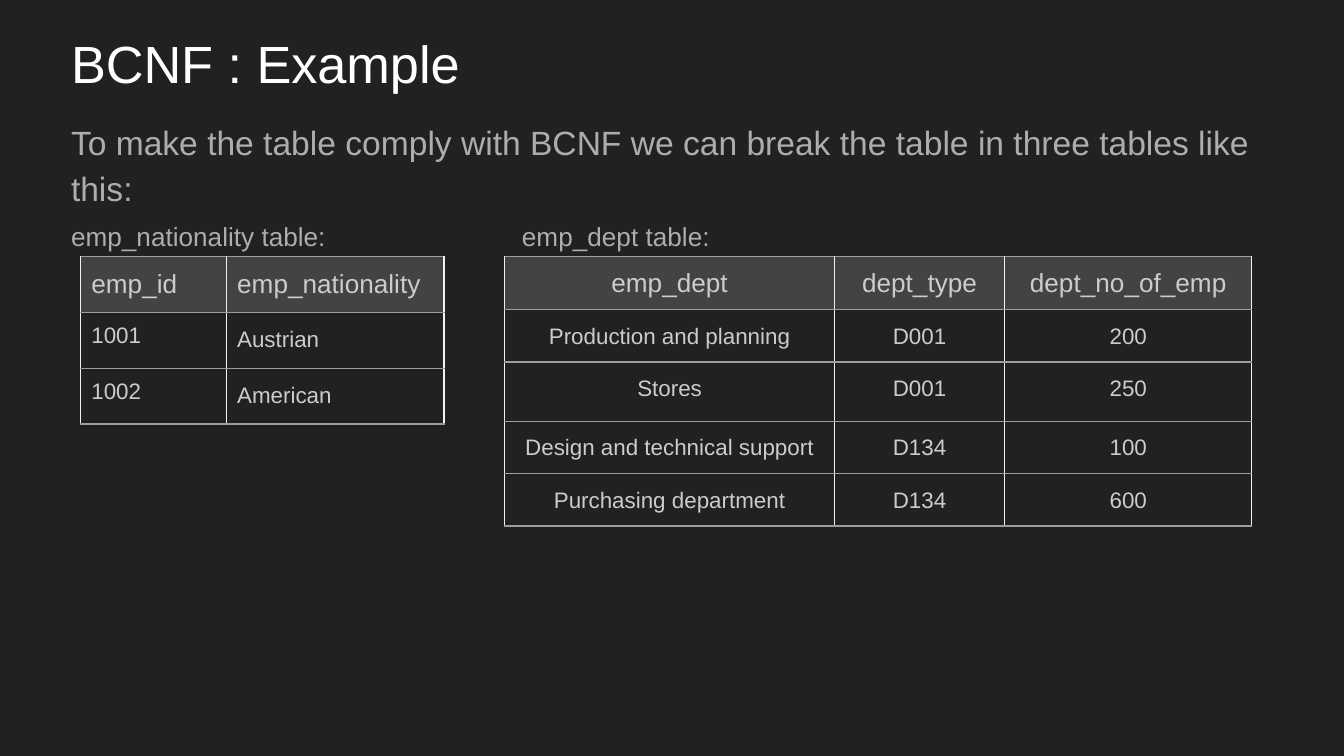
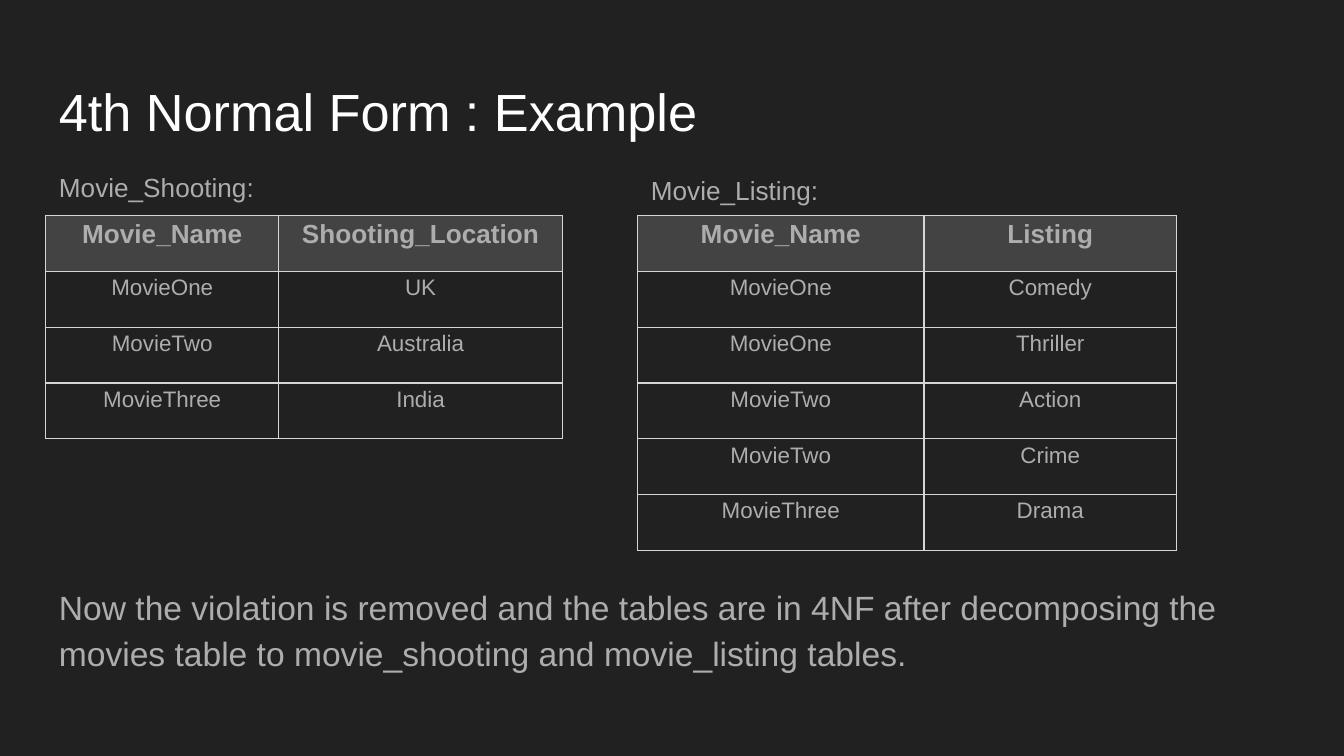
"""Build two slides on database normal forms, each showing decomposed tables."""
from dataclasses import dataclass

from lxml.etree import SubElement
from pptx import Presentation
from pptx.dml.color import RGBColor
from pptx.enum.text import MSO_ANCHOR as Anchor, PP_ALIGN as Align
from pptx.oxml.ns import qn
from pptx.slide import Slide
from pptx.table import _Cell as Cell
from pptx.text.text import TextFrame
from pptx.util import Emu, Pt

SCALE = 4572


@dataclass(frozen=True)
class Theme:
    font: str = "Arial"
    background: str = "212121"
    title: str = "FFFFFF"
    muted: str = "ADADAD"
    bright: str = "CCCCCC"
    header_fill: str = "434343"
    title_size: int = 28
    body_size: int = 18
    label_size: int = 14
    cell_size: int = 12
    border_width: float = 0.75
    text_inset: int = 20


THEME = Theme()


@dataclass(frozen=True)
class TextStyle:
    size: int
    color: str
    bold: bool = False
    align: Align = Align.LEFT
    line_spacing: float = 1.0
    space_after: int = 0


@dataclass(frozen=True)
class TextItem:
    text: str
    left: int
    top: int
    width: int
    height: int
    style: TextStyle


@dataclass(frozen=True)
class TableStyle:
    header: TextStyle
    columns: tuple[TextStyle, ...]
    inset: int
    vertical_border: str
    horizontal_border: str
    header_anchor: Anchor = Anchor.TOP


@dataclass(frozen=True)
class TableItem:
    left: int
    top: int
    widths: tuple[int, ...]
    heights: tuple[int, ...]
    rows: tuple[tuple[str, ...], ...]
    style: TableStyle


@dataclass(frozen=True)
class Page:
    texts: tuple[TextItem, ...]
    tables: tuple[TableItem, ...]


TITLE = TextStyle(THEME.title_size, THEME.title)
BODY = TextStyle(THEME.body_size, THEME.muted, line_spacing=1.15)
SPACED_BODY = TextStyle(THEME.body_size, THEME.muted, line_spacing=1.15, space_after=16)
LABEL = TextStyle(THEME.label_size, THEME.muted)

BRIGHT_CELL = TextStyle(THEME.cell_size, THEME.bright)
SPACED_CELL = TextStyle(THEME.cell_size, THEME.bright, line_spacing=1.15, space_after=15)
SPACED_CENTER = TextStyle(THEME.cell_size, THEME.bright, False, Align.CENTER, 1.15, 15)
MOVIE_CELL = TextStyle(THEME.cell_size, THEME.muted, align=Align.CENTER)

NATIONALITY = TableStyle(TextStyle(THEME.label_size, THEME.bright),
                         (BRIGHT_CELL, SPACED_CELL), 16, "F2F2F2", "9E9E9E", Anchor.MIDDLE)
DEPARTMENT = TableStyle(TextStyle(THEME.label_size, THEME.bright, align=Align.CENTER),
                        (SPACED_CENTER,) * 3, 16, "F2F2F2", "9E9E9E", Anchor.MIDDLE)
MOVIE = TableStyle(TextStyle(THEME.label_size, THEME.muted, True, Align.CENTER),
                   (MOVIE_CELL,) * 2, 6, "D6D6D6", "D6D6D6")

PAGES = (
    Page(
        texts=(
            TextItem("BCNF : Example", 86, 26, 1864, 126, TITLE),
            TextItem("To make the table comply with BCNF we can break the table "
                     "in three tables like this:", 86, 152, 1864, 950, SPACED_BODY),
            TextItem("emp_nationality table:", 86, 308, 522, 74, LABEL),
            TextItem("emp_dept table:", 757, 308, 522, 74, LABEL),
        ),
        tables=(
            TableItem(120, 382, (217, 324), (83,) * 3, (
                ("emp_id", "emp_nationality"),
                ("1001", "Austrian"),
                ("1002", "American"),
            ), NATIONALITY),
            TableItem(751, 382, (491, 253, 368), (78, 78, 88, 78, 78), (
                ("emp_dept", "dept_type", "dept_no_of_emp"),
                ("Production and planning", "D001", "200"),
                ("Stores", "D001", "250"),
                ("Design and technical support", "D134", "100"),
                ("Purchasing department", "D134", "600"),
            ), DEPARTMENT),
        ),
    ),
    Page(
        texts=(
            TextItem("4th Normal Form : Example", 68, 98, 1864, 126, TITLE),
            TextItem("Now the violation is removed and the tables are in 4NF after "
                     "decomposing the movies table to movie_shooting and "
                     "movie_listing tables.", 68, 844, 1864, 268, BODY),
            TextItem("Movie_Shooting:", 68, 235, 452, 66, LABEL),
            TextItem("Movie_Listing:", 949, 240, 452, 66, LABEL),
        ),
        tables=(
            TableItem(68, 321, (347, 422), (83,) * 4, (
                ("Movie_Name", "Shooting_Location"),
                ("MovieOne", "UK"),
                ("MovieTwo", "Australia"),
                ("MovieThree", "India"),
            ), MOVIE),
            TableItem(949, 321, (426, 376), (83,) * 6, (
                ("Movie_Name", "Listing"),
                ("MovieOne", "Comedy"),
                ("MovieOne", "Thriller"),
                ("MovieTwo", "Action"),
                ("MovieTwo", "Crime"),
                ("MovieThree", "Drama"),
            ), MOVIE),
        ),
    ),
)


def px(length: int) -> Emu:
    """Turn whole pixels into EMU."""
    return Emu(length * SCALE)


def write_text(frame: TextFrame, text: str, style: TextStyle) -> None:
    """Fill a text frame with one formatted paragraph."""
    frame.text = text
    para = frame.paragraphs[0]
    para.alignment = style.align
    para.line_spacing = style.line_spacing
    para.space_after = Pt(style.space_after)
    for span in para.runs:
        span.font.name = THEME.font
        span.font.size = Pt(style.size)
        span.font.bold = style.bold
        span.font.color.rgb = RGBColor.from_string(style.color)


def set_insets(target: TextFrame | Cell, inset: int) -> None:
    """Give a text frame or cell the same margin on all sides."""
    target.margin_left = target.margin_right = px(inset)
    target.margin_top = target.margin_bottom = px(inset)


def draw_text(slide: Slide, item: TextItem) -> None:
    """Draw a wrapped text box."""
    box = slide.shapes.add_textbox(px(item.left), px(item.top),
                                   px(item.width), px(item.height))
    frame = box.text_frame
    frame.word_wrap = True
    set_insets(frame, THEME.text_inset)
    write_text(frame, item.text, item.style)


def set_borders(cell: Cell, style: TableStyle) -> None:
    """Outline a cell with the table's border colours."""
    properties = cell._tc.get_or_add_tcPr()
    for side in ("L", "R", "T", "B"):
        color = style.vertical_border if side in "LR" else style.horizontal_border
        line = SubElement(properties, qn(f"a:ln{side}"), w=str(Pt(THEME.border_width)))
        fill = SubElement(line, qn("a:solidFill"))
        SubElement(fill, qn("a:srgbClr"), val=color)


def draw_table(slide: Slide, item: TableItem) -> None:
    """Draw a table with a filled header row."""
    frame = slide.shapes.add_table(len(item.heights), len(item.widths),
                                   px(item.left), px(item.top),
                                   px(sum(item.widths)), px(sum(item.heights)))
    table, style = frame.table, item.style
    table.first_row = table.horz_banding = False
    for column, width in zip(table.columns, item.widths):
        column.width = px(width)
    for row, height in zip(table.rows, item.heights):
        row.height = px(height)
    for row_index, texts in enumerate(item.rows):
        is_header = row_index == 0
        for column_index, text in enumerate(texts):
            cell = table.cell(row_index, column_index)
            set_insets(cell, style.inset)
            set_borders(cell, style)
            cell.vertical_anchor = style.header_anchor if is_header else Anchor.TOP
            if is_header:
                cell.fill.solid()
                cell.fill.fore_color.rgb = RGBColor.from_string(THEME.header_fill)
            else:
                cell.fill.background()
            write_text(cell.text_frame, text,
                       style.header if is_header else style.columns[column_index])


def main() -> None:
    """Build and save the deck."""
    deck = Presentation()
    deck.slide_width, deck.slide_height = px(2000), px(1125)
    for page in PAGES:
        slide = deck.slides.add_slide(deck.slide_layouts[6])
        background = slide.background.fill
        background.solid()
        background.fore_color.rgb = RGBColor.from_string(THEME.background)
        for text_item in page.texts:
            draw_text(slide, text_item)
        for table_item in page.tables:
            draw_table(slide, table_item)
    deck.save("out.pptx")


if __name__ == "__main__":
    main()
